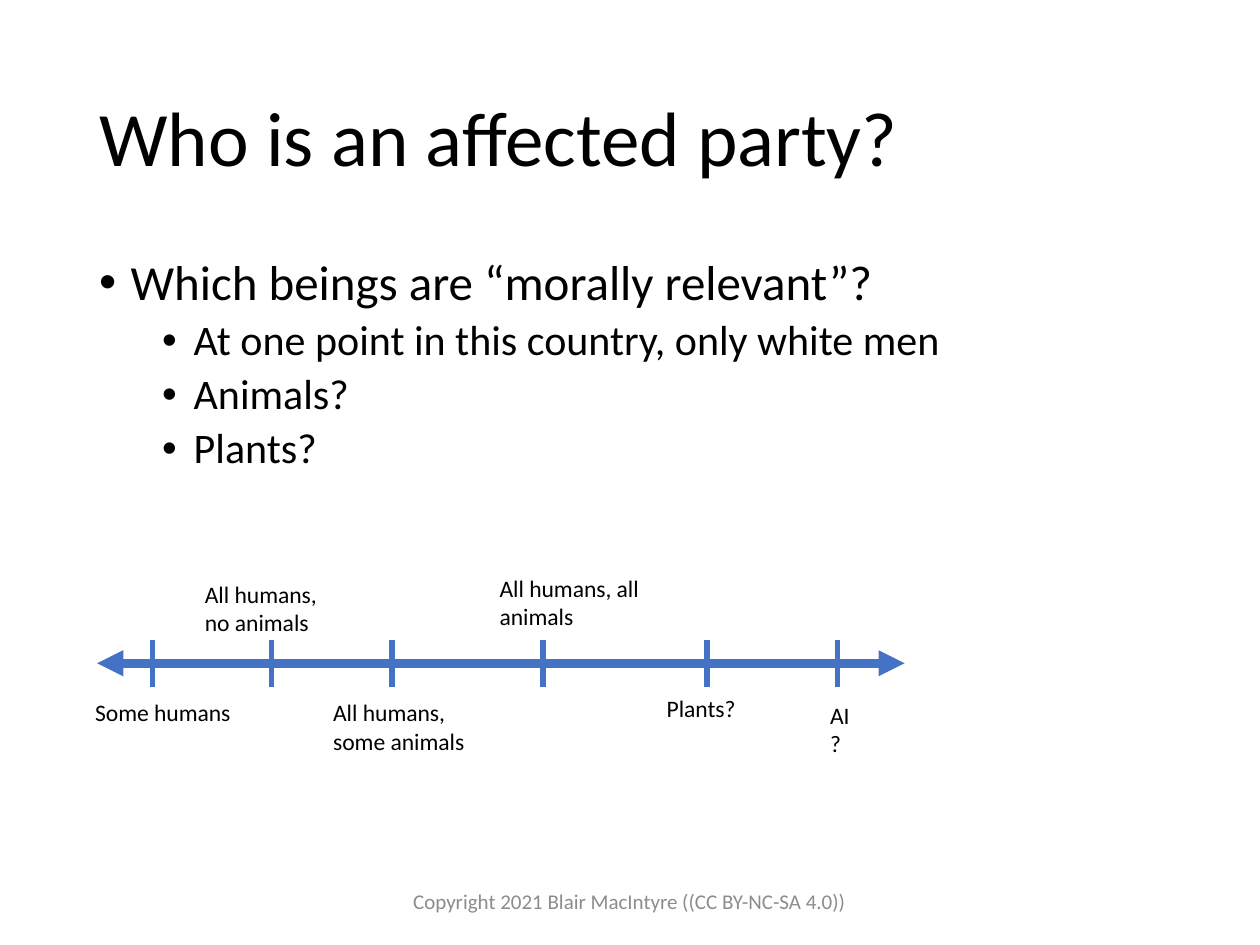
from lxml import etree
from pptx import Presentation
from pptx.dml.color import RGBColor
from pptx.enum.shapes import MSO_CONNECTOR
from pptx.enum.text import MSO_ANCHOR, MSO_AUTO_SIZE, PP_ALIGN
from pptx.oxml.ns import qn
from pptx.util import Pt

STRAIGHT = MSO_CONNECTOR.STRAIGHT
TOP, MIDDLE = MSO_ANCHOR.TOP, MSO_ANCHOR.MIDDLE
LEFT, CENTER = PP_ALIGN.LEFT, PP_ALIGN.CENTER
NO_AUTOFIT = MSO_AUTO_SIZE.NONE


def color(value):
    return RGBColor.from_string(value)


class SlideBuilder:
    font = "Calibri"
    ink = "000000"
    muted = "8C8C8C"
    accent = "4472C4"

    def __init__(self, slide):
        self.slide = slide

    def place(self, shape, box):
        for name, value in zip(("left", "top", "width", "height"), box):
            setattr(shape, name, Pt(value))

    def frame(self, shape, anchor):
        settings = {"word_wrap": True, "auto_size": NO_AUTOFIT, "vertical_anchor": anchor}
        for name, value in settings.items():
            setattr(shape.text_frame, name, value)
        return shape.text_frame

    def fill_paragraph(self, paragraph, text, size, ink=ink, **formats):
        run = paragraph.add_run()
        run.text = text
        for name, value in {"name": self.font, "size": Pt(size)}.items():
            setattr(run.font, name, value)
        run.font.color.rgb = color(ink)
        for name, value in formats.items():
            setattr(paragraph, name, value)

    def title(self, text, box):
        shape = self.slide.shapes.title
        self.place(shape, box)
        paragraph = self.frame(shape, MIDDLE).paragraphs[0]
        self.fill_paragraph(paragraph, text, 44, alignment=LEFT, line_spacing=0.9)

    def bullets(self, items, box):
        shape = self.slide.placeholders[1]
        self.place(shape, box)
        frame = self.frame(shape, TOP)
        for index, (level, text) in enumerate(items):
            paragraph = frame.add_paragraph() if index else frame.paragraphs[0]
            self.fill_paragraph(paragraph, text, 28 - 4 * level, level=level,
                                line_spacing=0.9, space_before=Pt(10 - 5 * level))
            properties = paragraph._p.get_or_add_pPr()
            properties.set("marL", str(Pt(18 + 36 * level)))
            properties.set("indent", str(Pt(-18)))
            etree.SubElement(properties, qn("a:buFont")).set("typeface", "Arial")
            etree.SubElement(properties, qn("a:buChar")).set("char", "•")

    def text(self, text, box, size=13.5, ink=ink, anchor=TOP, alignment=LEFT):
        shape = self.slide.shapes.add_textbox(*map(Pt, box))
        paragraph = self.frame(shape, anchor).paragraphs[0]
        self.fill_paragraph(paragraph, text, size, ink, alignment=alignment)

    def line(self, start, end, width, arrows=False):
        connector = self.slide.shapes.add_connector(STRAIGHT, *map(Pt, start + end))
        connector.line.color.rgb = color(self.accent)
        connector.line.width = Pt(width)
        if arrows:
            outline = connector.line._get_or_add_ln()
            for tag in ("a:headEnd", "a:tailEnd"):
                etree.SubElement(outline, qn(tag)).set("type", "triangle")
        etree.SubElement(connector._element.spPr, qn("a:effectLst"))


def main():
    presentation = Presentation()
    presentation.slide_width, presentation.slide_height = Pt(720), Pt(540)
    slide = presentation.slides.add_slide(presentation.slide_layouts[1])
    builder = SlideBuilder(slide)

    builder.title("Who is an affected party?", (49.5, 28.75, 621, 104.4))
    builder.bullets([
        (0, "Which beings are “morally relevant”?"),
        (1, "At one point in this country, only white men"),
        (1, "Animals?"),
        (1, "Plants?"),
    ], (49.5, 143.75, 621, 342.6))

    axis_y = 379
    builder.line((55.5, axis_y), (517, axis_y), 5, arrows=True)
    stages = [
        (87, "Some humans", (47.3, 395.5, 97, 24)),
        (155.3, "All humans, no animals", (110, 327.9, 92, 40)),
        (224, "All humans, some animals", (183.3, 395.5, 95, 40)),
        (310.3, "All humans, all animals", (278.4, 324.3, 95, 40)),
        (404, "Plants?", (373.9, 393.1, 60, 24)),
        (478.7, "AI?", (467.3, 397, 31, 40)),
    ]
    for tick_x, label, box in stages:
        builder.line((tick_x, axis_y - 13.5), (tick_x, axis_y + 13.8), 3)
        builder.text(label, box)

    builder.text("Copyright 2021 Blair MacIntyre ((CC BY-NC-SA 4.0))",
                 (221, 500.5, 277.5, 28.8), 12, builder.muted, MIDDLE, CENTER)
    presentation.save("out.pptx")


if __name__ == "__main__":
    main()
